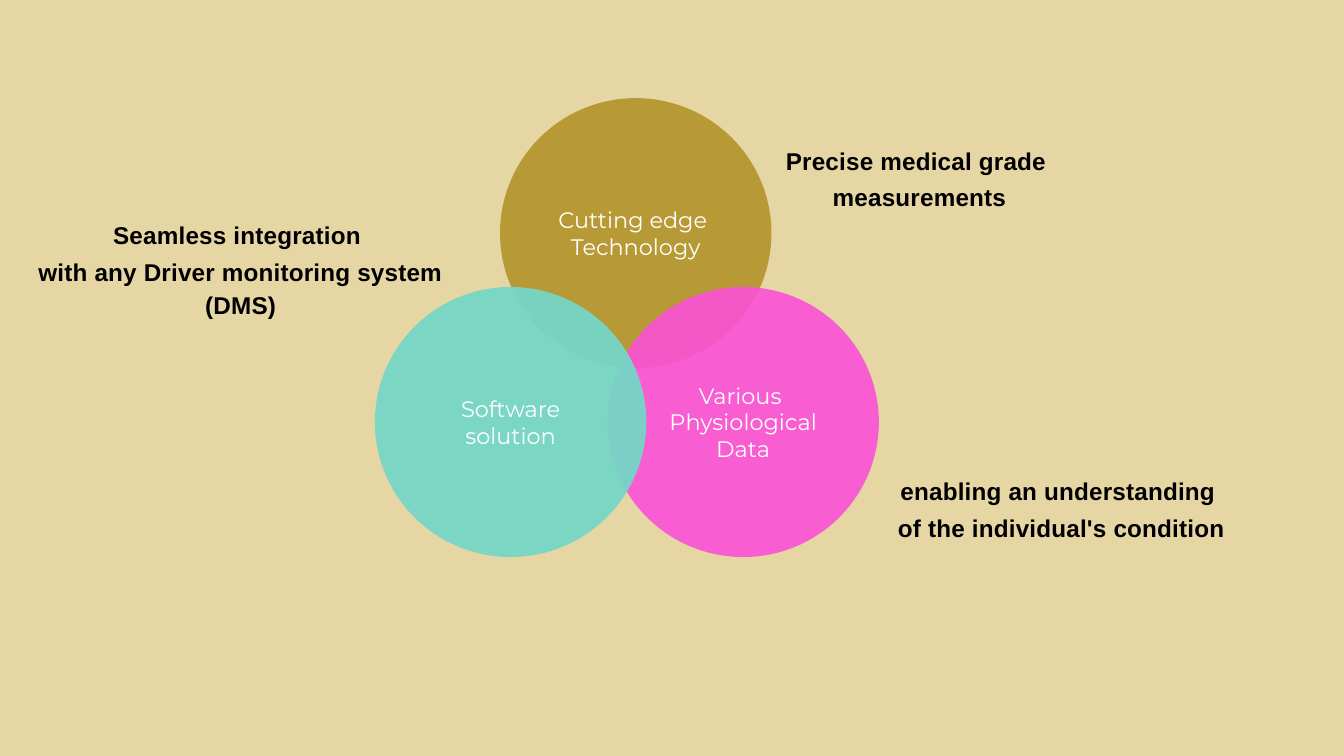
from dataclasses import dataclass

from lxml.etree import SubElement
from pptx import Presentation
from pptx.dml.color import RGBColor
from pptx.enum.shapes import MSO_SHAPE
from pptx.enum.text import MSO_ANCHOR, MSO_AUTO_SIZE, PP_ALIGN
from pptx.oxml.ns import qn
from pptx.util import Cm, Pt


@dataclass(frozen=True)
class Theme:
    background: str = "E5D6A4"
    gold: str = "B79935"
    pink: str = "FB51D7"
    teal: str = "76D6C6"
    white: str = "FFFFFF"
    black: str = "000000"
    circle_font: str = "Montserrat"
    caption_font: str = "Arial"
    circle_size: int = 24
    caption_size: int = 26


class VennSlide:
    def __init__(self, prs, theme):
        self.theme = theme
        self.s = prs.slides.add_slide(prs.slide_layouts[6])
        fill = self.s.background.fill
        fill.solid()
        fill.fore_color.rgb = RGBColor.from_string(theme.background)

    def add_lines(self, tf, lines, font, size, color, bold=False):
        for i, line in enumerate(lines):
            p = tf.paragraphs[0] if i == 0 else tf.add_paragraph()
            p.alignment = PP_ALIGN.CENTER
            r = p.add_run()
            r.text = line
            r.font.name = font
            r.font.size = Pt(size)
            r.font.bold = bold
            r.font.color.rgb = RGBColor.from_string(color)

    def circle(self, left, top, color, lines, opacity=100):
        sp = self.s.shapes.add_shape(
            MSO_SHAPE.OVAL, Cm(left), Cm(top), Cm(10.26), Cm(10.21))
        sp.shadow.inherit = False
        sp.line.fill.background()
        sp.fill.solid()
        sp.fill.fore_color.rgb = RGBColor.from_string(color)
        if opacity < 100:
            clr = sp.element.spPr.find(qn("a:solidFill"))[0]
            SubElement(clr, qn("a:alpha"), val=str(opacity * 1000))
        tf = sp.text_frame
        tf.word_wrap = True
        tf.vertical_anchor = MSO_ANCHOR.MIDDLE
        t = self.theme
        self.add_lines(tf, lines, t.circle_font, t.circle_size, t.white)

    def caption(self, left, top, width, height, lines, wrap=False):
        sp = self.s.shapes.add_textbox(Cm(left), Cm(top), Cm(width), Cm(height))
        tf = sp.text_frame
        tf.word_wrap = wrap
        tf.auto_size = MSO_AUTO_SIZE.SHAPE_TO_FIT_TEXT
        t = self.theme
        self.add_lines(tf, lines, t.caption_font, t.caption_size, t.black, bold=True)
        for p in tf.paragraphs:
            p.line_spacing = 1.15
            p.space_before = Pt(3)
        for r_pr in sp.element.iter(qn("a:rPr")):
            r_pr.set("spc", "20")


def main():
    prs = Presentation()
    prs.slide_width, prs.slide_height = Cm(50.8), Cm(28.58)
    theme = Theme()
    venn = VennSlide(prs, theme)

    lower_top = 10.85
    venn.circle(18.9, 3.71, theme.gold, ["Cutting edge ", "Technology"])
    venn.circle(22.96, lower_top, theme.pink,
                ["Various ", "Physiological Data"], opacity=90)
    venn.circle(14.17, lower_top, theme.teal, ["Software", "solution"], opacity=95)

    venn.caption(29.08, 5.23, 11.35, 2.82,
                 ["Precise medical grade ", "measurements"])
    venn.caption(0.74, 8.05, 16.71, 4.19,
                 ["Seamless integration ", "with any Driver monitoring system (DMS)"],
                 wrap=True)
    venn.caption(33.22, 17.73, 13.54, 2.82,
                 ["enabling an understanding", " of the individual's condition"])

    prs.save("out.pptx")


if __name__ == "__main__":
    main()
